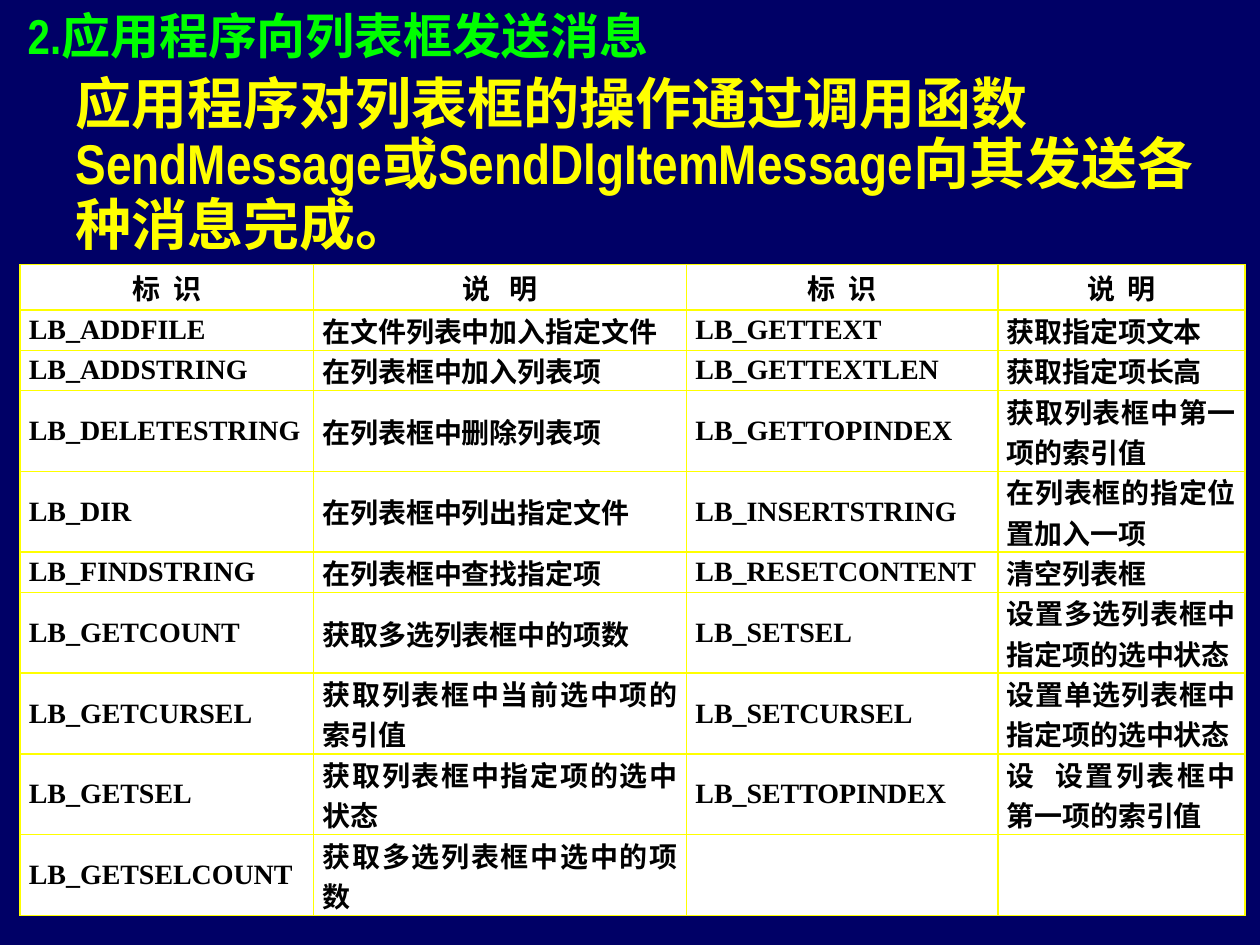
from lxml import etree
from pptx import Presentation
from pptx.dml.color import RGBColor
from pptx.enum import text as t
from pptx.oxml import ns
from pptx.util import Inches, Pt

NAVY = RGBColor(0x00, 0x00, 0x66)
GREEN = RGBColor(0x00, 0xFF, 0x00)
YELLOW = RGBColor(0xFF, 0xFF, 0x00)
WHITE = RGBColor(0xFF, 0xFF, 0xFF)
BLACK = RGBColor(0x00, 0x00, 0x00)

INTRO = [
    ("2.应用程序向列表框发送消息", 28, GREEN, -0.38),
    ("应用程序对列表框的操作通过调用函数SendMessage或SendDlgItemMessage"
     "向其发送各种消息完成。", 32, YELLOW, 0),
]
COLS = [2.33, 2.96, 2.47, 1.96]
HEAD, ONE, TWO = 0.36, 0.31, 0.62
ROWS = [
    (HEAD, "标  识", "说   明", "标  识", "说  明"),
    (ONE, "LB_ADDFILE", "在文件列表中加入指定文件", "LB_GETTEXT", "获取指定项文本"),
    (ONE, "LB_ADDSTRING", "在列表框中加入列表项", "LB_GETTEXTLEN", "获取指定项长高"),
    (TWO, "LB_DELETESTRING", "在列表框中删除列表项", "LB_GETTOPINDEX",
     "获取列表框中第一项的索引值"),
    (TWO, "LB_DIR", "在列表框中列出指定文件", "LB_INSERTSTRING",
     "在列表框的指定位置加入一项"),
    (ONE, "LB_FINDSTRING", "在列表框中查找指定项", "LB_RESETCONTENT", "清空列表框"),
    (TWO, "LB_GETCOUNT", "获取多选列表框中的项数", "LB_SETSEL",
     "设置多选列表框中指定项的选中状态"),
    (TWO, "LB_GETCURSEL", "获取列表框中当前选中项的索引值", "LB_SETCURSEL",
     "设置单选列表框中指定项的选中状态"),
    (TWO, "LB_GETSEL", "获取列表框中指定项的选中状态", "LB_SETTOPINDEX",
     "设  设置列表框中第一项的索引值"),
    (TWO, "LB_GETSELCOUNT", "获取多选列表框中选中的项数", "", ""),
]


class Deck:
    sans = "Arial Narrow"
    serif = "Times New Roman"

    def __init__(self):
        self.prs = Presentation()
        self.prs.slide_width = Inches(10)
        self.prs.slide_height = Inches(7.5)
        self.slide = self.prs.slides.add_slide(self.prs.slide_layouts[1])
        title = self.slide.shapes.title.element
        title.getparent().remove(title)
        fill = self.slide.background.fill
        fill.solid()
        fill.fore_color.rgb = NAVY

    def style(self, para, face, size, color):
        for run in para.runs:
            font = run.font
            font.name, font.size, font.bold = face, Pt(size), True
            font.color.rgb = color

    def body(self, items, left, top, width, height):
        box = self.slide.placeholders[1]
        box.left, box.top = Inches(left), Inches(top)
        box.width, box.height = Inches(width), Inches(height)
        frame = box.text_frame
        frame.text = "\n".join(item[0] for item in items)
        frame.auto_size = t.MSO_AUTO_SIZE.NONE
        frame.vertical_anchor = t.MSO_ANCHOR.TOP
        for num, (para, item) in enumerate(zip(frame.paragraphs, items)):
            _, size, color, indent = item
            props = para._p.get_or_add_pPr()
            props.set("marL", str(Inches(0.38)))
            props.set("indent", str(Inches(indent)))
            etree.SubElement(props, ns.qn("a:buNone"))
            para.line_spacing = 0.9
            para.space_before = Pt(6 if num else 0)
            para.alignment = t.PP_ALIGN.LEFT
            self.style(para, self.sans, size, color)

    def border(self, cell):
        props = cell._tc.get_or_add_tcPr()
        for pos, side in enumerate("LRTB"):
            line = etree.Element(ns.qn(f"a:ln{side}"), w=str(Pt(1)))
            fill = etree.SubElement(line, ns.qn("a:solidFill"))
            etree.SubElement(fill, ns.qn("a:srgbClr"), val=str(YELLOW))
            props.insert(pos, line)

    def cell(self, cell, words, align):
        cell.text = words
        cell.vertical_anchor = t.MSO_ANCHOR.MIDDLE
        cell.margin_left = cell.margin_right = Inches(0.07)
        cell.margin_top = cell.margin_bottom = 0
        cell.fill.solid()
        cell.fill.fore_color.rgb = WHITE
        self.border(cell)
        para = cell.text_frame.paragraphs[0]
        para.alignment = align
        self.style(para, self.serif, 16, BLACK)

    def table(self, rows, cols, left, top):
        high = sum(row[0] for row in rows)
        grid = self.slide.shapes.add_table(
            len(rows), len(cols), Inches(left), Inches(top),
            Inches(sum(cols)), Inches(high)).table
        grid.first_row = grid.horz_banding = False
        for col, width in zip(grid.columns, cols):
            col.width = Inches(width)
        for num, (height, *words) in enumerate(rows):
            grid.rows[num].height = Inches(height)
            align = t.PP_ALIGN.JUSTIFY if num else t.PP_ALIGN.CENTER
            for cell, word in zip(grid.rows[num].cells, words):
                self.cell(cell, word, align)


def main():
    deck = Deck()
    deck.body(INTRO, 0.12, 0.05, 9.69, 2.15)
    deck.table(ROWS, COLS, 0.16, 2.1)
    deck.prs.save("out.pptx")


if __name__ == "__main__":
    main()
